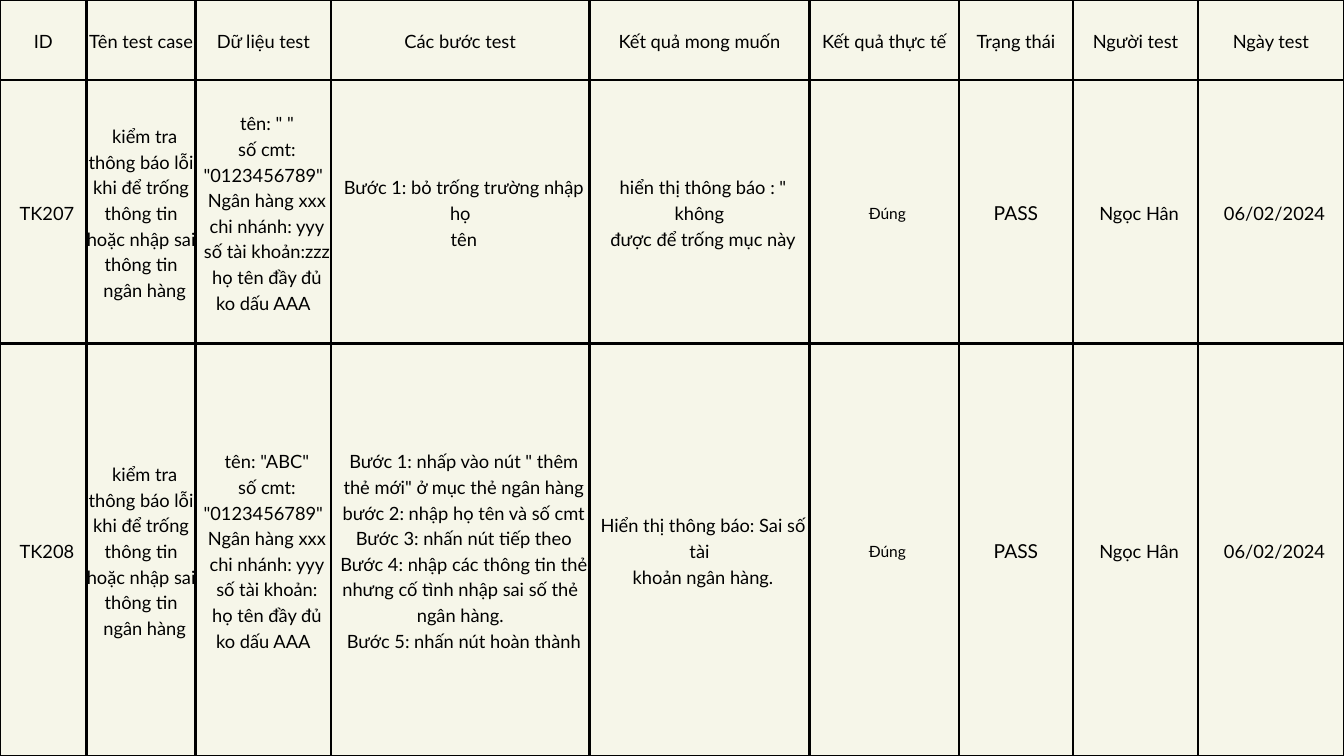
"""Build a slide with a bordered table of software test cases."""
from lxml import etree
from pptx import Presentation, util as u
from pptx.dml.color import RGBColor
from pptx.enum import text
from pptx.oxml import ns

THEME = {
    "background": RGBColor.from_string("F6F6E9"),
    "ink": RGBColor.from_string("000000"),
    "font": "Lato",
    "border": u.Pt(3),
    "body": (19.6, 27.4),
    "result": (16.6, 23.2),
    "status": (20.6, 28.8),
    "indent": 0.39,
}
COLUMNS = [1.29, 1.62, 2.02, 3.84, 3.28, 2.22, 1.7, 1.86, 2.17]
ROWS = [1.19, 3.92, 6.14]
STYLES = {5: "result", 6: "status"}
STATUS_COLUMN = 6

HEADER = ["ID", "Tên test case", "Dữ liệu test", "Các bước test", "Kết quả mong muốn",
          "Kết quả thực tế", "Trạng thái", "Người test", "Ngày test"]
CASE_NAME = ("kiểm tra thông báo lỗi khi để trống thông tin hoặc nhập sai thông tin\n"
             "ngân hàng")
CASE_DATA = ('tên: "{name}"\nsố cmt: "0123456789"\nNgân hàng xxx\nchi nhánh: yyy\n'
             "số tài khoản:{account}\nhọ tên đầy đủ ko dấu AAA")
OUTCOME = ["Đúng", "PASS", "Ngọc Hân", "06/02/2024"]
CASES = [
    ["TK207", CASE_NAME, CASE_DATA.format(name=" ", account="zzz"),
     "Bước 1: bỏ trống trường nhập họ\ntên",
     'hiển thị thông báo : " không\nđược để trống mục này', *OUTCOME],
    ["TK208", CASE_NAME, CASE_DATA.format(name="ABC", account=""),
     'Bước 1: nhấp vào nút " thêm\nthẻ mới" ở mục thẻ ngân hàng\n'
     "bước 2: nhập họ tên và số cmt\nBước 3: nhấn nút tiếp theo\n"
     "Bước 4: nhập các thông tin thẻ nhưng cố tình nhập sai số thẻ ngân hàng.\n"
     "Bước 5: nhấn nút hoàn thành",
     "Hiển thị thông báo: Sai số tài\nkhoản ngân hàng.", *OUTCOME],
]
CELL_FORMAT = {
    "margin_left": 0, "margin_right": 0, "margin_top": 0, "margin_bottom": 0,
    "vertical_anchor": text.MSO_ANCHOR.MIDDLE,
}


def add_borders(cell):
    properties = cell._tc.get_or_add_tcPr()
    for side in ("a:lnL", "a:lnR", "a:lnT", "a:lnB"):
        line = etree.SubElement(properties, ns.qn(side), w=str(THEME["border"]))
        fill = etree.SubElement(line, ns.qn("a:solidFill"))
        etree.SubElement(fill, ns.qn("a:srgbClr"), val=str(THEME["ink"]))


def write_cell(cell, content, style, indented):
    size, spacing = THEME[style]
    cell.text = content
    for paragraph in cell.text_frame.paragraphs:
        paragraph.alignment = text.PP_ALIGN.CENTER
        paragraph.line_spacing = u.Pt(spacing)
        if indented:
            indent = u.Pt(size * THEME["indent"])
            paragraph._p.get_or_add_pPr().set("indent", str(indent))
        for run in paragraph.runs:
            for name, value in {"name": THEME["font"], "size": u.Pt(size)}.items():
                setattr(run.font, name, value)
            run.font.color.rgb = THEME["ink"]


presentation = Presentation()
presentation.slide_width = u.Inches(sum(COLUMNS))
presentation.slide_height = u.Inches(sum(ROWS))
slide = presentation.slides.add_slide(presentation.slide_layouts[6])
slide.background.fill.solid()
slide.background.fill.fore_color.rgb = THEME["background"]

table = slide.shapes.add_table(
    len(ROWS), len(COLUMNS), 0, 0, presentation.slide_width, presentation.slide_height
).table
table.first_row = False
table.horz_banding = False
for column, width in zip(table.columns, COLUMNS):
    column.width = u.Inches(width)
for row, height in zip(table.rows, ROWS):
    row.height = u.Inches(height)

for row_index, contents in enumerate([HEADER, *CASES]):
    for column_index, content in enumerate(contents):
        cell = table.cell(row_index, column_index)
        for name, value in CELL_FORMAT.items():
            setattr(cell, name, value)
        add_borders(cell)
        cell.fill.background()
        is_case = row_index > 0
        style = STYLES.get(column_index, "body") if is_case else "body"
        write_cell(cell, content, style, is_case and column_index != STATUS_COLUMN)

presentation.save("out.pptx")
